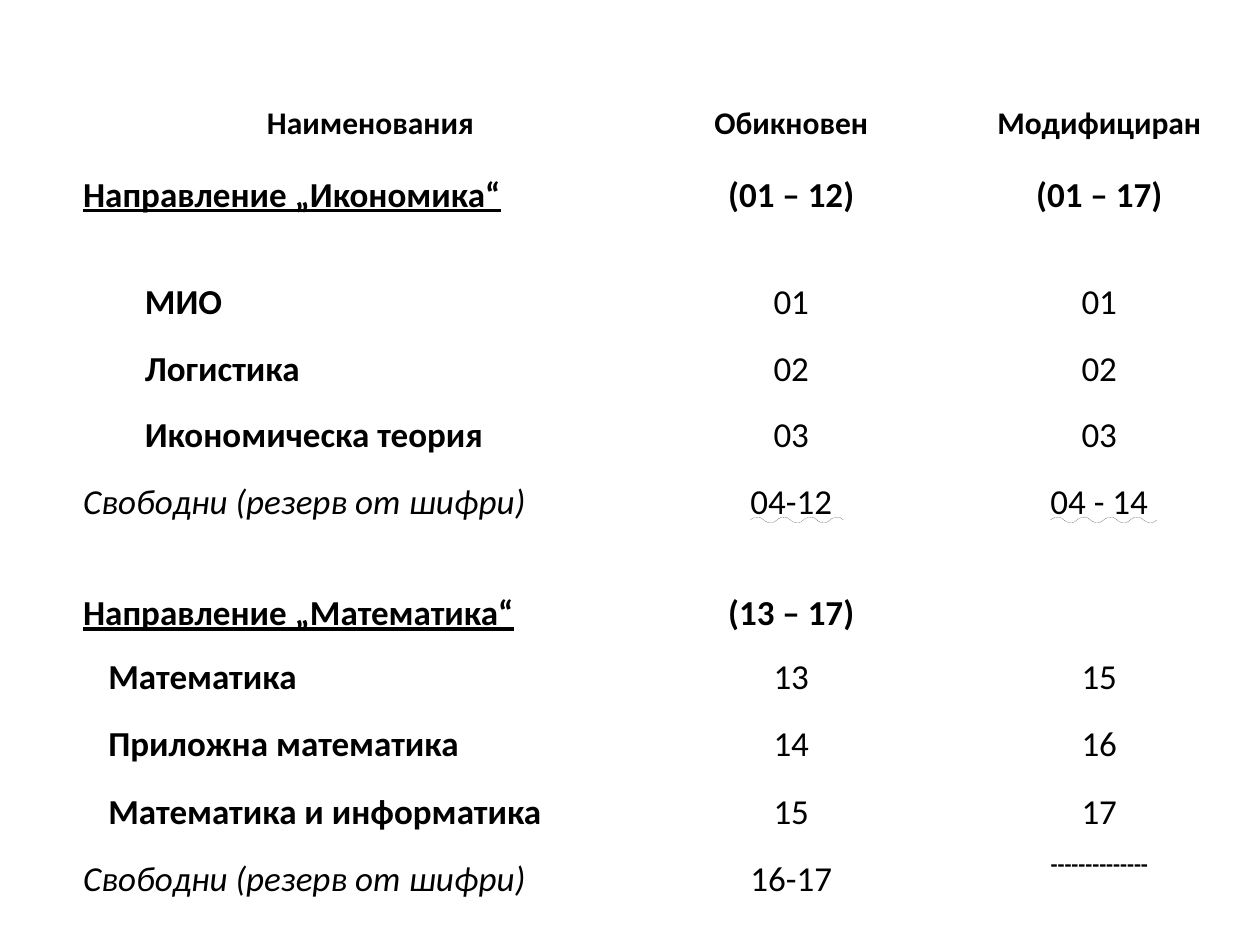
from dataclasses import dataclass

from lxml import etree
from pptx import Presentation
from pptx.dml import color
from pptx.enum import text
from pptx.oxml import ns
from pptx.util import Inches, Pt


@dataclass(frozen=True)
class Theme:
    font: str = "Calibri"
    ink: str = "000000"
    paper: str = "FFFFFF"
    header_size: int = 18
    body_size: int = 20
    dash_size: int = 13
    spacing: float = 1.5
    thin: int = 1
    thick: int = 3


THEME = Theme()
WAVY = text.MSO_UNDERLINE.WAVY_LINE
COLUMNS = [4.21, 2.47, 2.42]
HEIGHTS = [0.53, 0.85, 0.53, 0.53, 0.53, 0.88, 0.48, 0.53, 0.54, 0.53, 0.88]
DEEP, SHALLOW = 0.49, 0.2

STYLES = {
    "header": {"size": Pt(THEME.header_size), "bold": True},
    "group": {"bold": True, "underline": True},
    "range": {"bold": True},
    "subject": {"bold": True},
    "reserve": {"italic": True},
    "code": {},
    "wavy": {"underline": WAVY},
    "dash": {"size": Pt(THEME.dash_size), "bold": True},
}

ROWS = [
    ("header", "header", "header", DEEP, ("Наименования", "Обикновен", "Модифициран")),
    ("group", "range", "range", 0, ("Направление „Икономика“", "(01 – 12)", "(01 – 17)")),
    ("subject", "code", "code", DEEP, ("МИО", "01", "01")),
    ("subject", "code", "code", DEEP, ("Логистика", "02", "02")),
    ("subject", "code", "code", DEEP, ("Икономическа теория", "03", "03")),
    ("reserve", "wavy", "wavy", 0, ("Свободни (резерв от шифри)", "04-12", "04 - 14")),
    ("group", "range", "range", 0, ("Направление „Математика“", "(13 – 17)", "")),
    ("subject", "code", "code", SHALLOW, ("Математика", "13", "15")),
    ("subject", "code", "code", SHALLOW, ("Приложна математика", "14", "16")),
    ("subject", "code", "code", SHALLOW, ("Математика и информатика", "15", "17")),
    ("reserve", "code", "dash", 0, ("Свободни (резерв от шифри)", "16-17", "--------------")),
]


def apply(target, values):
    for name, value in values.items():
        setattr(target, name, value)


def set_borders(cell, widths):
    properties = cell._tc.get_or_add_tcPr()
    for index, (side, width) in enumerate(widths.items()):
        line = etree.Element(ns.qn(f"a:ln{side}"), w=str(Pt(width)))
        fill = etree.SubElement(line, ns.qn("a:solidFill"))
        etree.SubElement(fill, ns.qn("a:srgbClr"), val=THEME.paper)
        properties.insert(index, line)


def write_cell(cell, words, style, indent, centred):
    apply(cell, {"margin_left": Inches(0.07), "margin_right": Inches(0.07),
                 "margin_top": 0, "margin_bottom": 0})
    cell.fill.solid()
    cell.fill.fore_color.rgb = color.RGBColor.from_string(THEME.paper)
    if not words:
        return
    para = cell.text_frame.paragraphs[0]
    align = text.PP_ALIGN.CENTER if centred else text.PP_ALIGN.LEFT
    apply(para, {"line_spacing": THEME.spacing, "alignment": align})
    properties = para._p.get_or_add_pPr()
    properties.set("marL", "0")
    properties.set("indent", str(Inches(indent)))
    span = para.add_run()
    span.text = words
    base = {"name": THEME.font, "size": Pt(THEME.body_size), "bold": False}
    apply(span.font, {**base, **STYLES[style]})
    span.font.color.rgb = color.RGBColor.from_string(THEME.ink)


def add_code_table(page):
    frame = page.shapes.add_table(
        len(ROWS), len(COLUMNS), Inches(0.59), Inches(0.68),
        Inches(sum(COLUMNS)), Inches(sum(HEIGHTS)))
    table = frame.table
    apply(table, {"first_row": False, "horz_banding": False})
    for column, width in zip(table.columns, COLUMNS):
        column.width = Inches(width)
    last = len(ROWS) - 1
    for number, (*styles, indent, words) in enumerate(ROWS):
        table.rows[number].height = Inches(HEIGHTS[number])
        widths = dict.fromkeys("LRTB", THEME.thin)
        if number in (1, last):
            widths["T"] = THEME.thick
        if number in (0, last - 1):
            widths["B"] = THEME.thick
        for place, (style, label) in enumerate(zip(styles, words)):
            cell = table.cell(number, place)
            centred = place > 0 or style == "header"
            write_cell(cell, label, style, DEEP if place else indent, centred)
            set_borders(cell, widths)


def main():
    deck = Presentation()
    apply(deck, {"slide_width": Inches(10), "slide_height": Inches(7.5)})
    page = deck.slides.add_slide(deck.slide_layouts[6])
    add_code_table(page)
    deck.save("out.pptx")


main()
